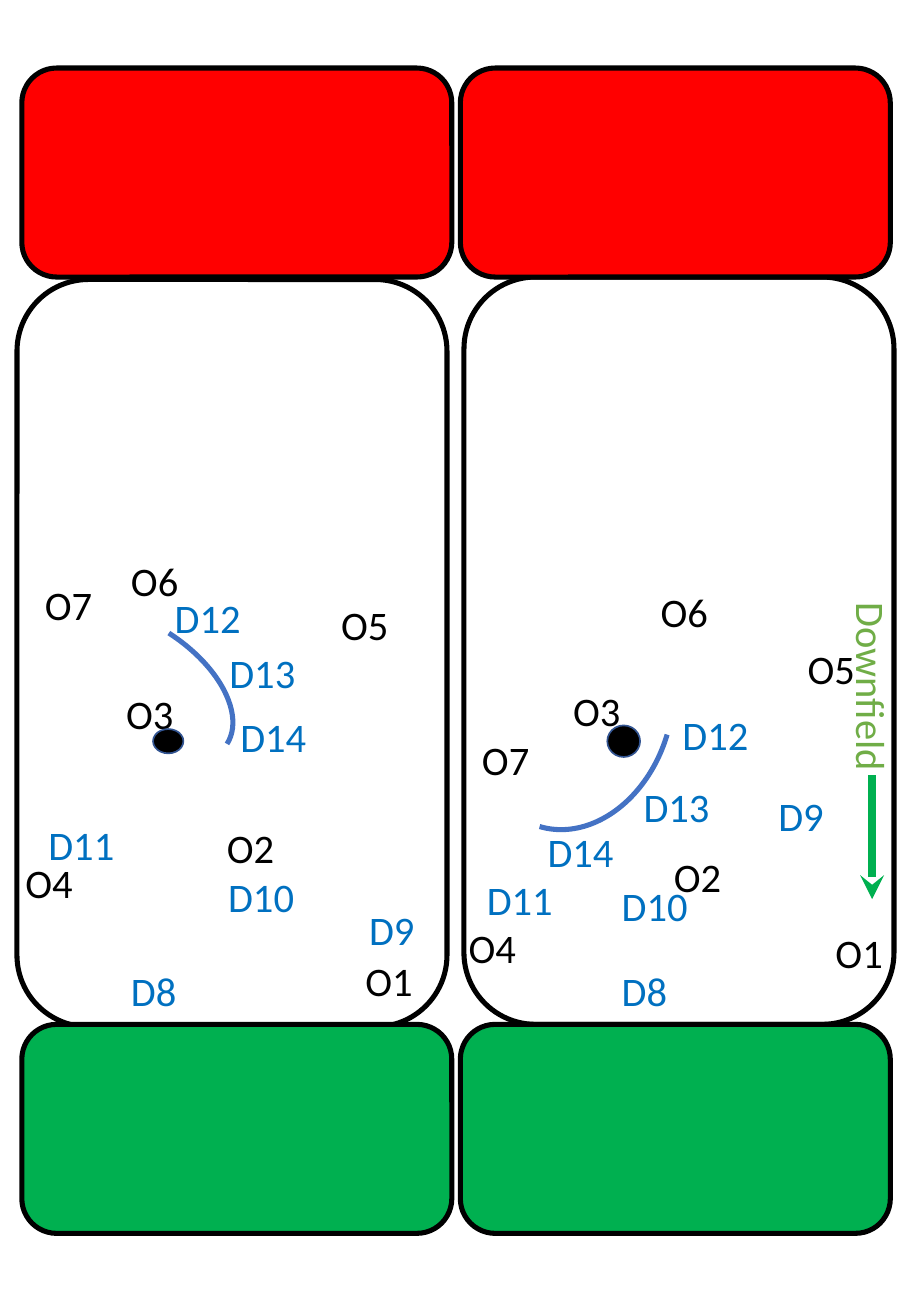
from dataclasses import dataclass

from lxml import etree
from pptx import Presentation
from pptx import util as u
from pptx.dml.color import RGBColor
from pptx.enum import shapes, text
from pptx.oxml import ns

COLUMNS, ROWS = 75, 108.3
FIELDS = [(38.2, 22.8), (1.4, 23)]
FIELD_SIZE = (35.4, 61.5)
ZONE_LEFTS = [1.8, 37.9]
ZONE_ROWS = [(5.6, "stop"), (84.3, "go")]
ZONE_SIZE = (35.4, 17.2)
LABEL_HEIGHT = 5

RIGHT_PLAYERS = [
    ("O2", 54.5, 69.6, 7.4), ("O1", 67.8, 75.9, 6.1),
    ("O3", 46.2, 56, 7.4), ("O4", 37.6, 75.5, 7.4),
    ("O5", 65.5, 52.5, 7.4), ("O6", 53.4, 47.8, 8.4),
    ("O7", 38.7, 60, 7.4), ("D8", 50.2, 79, 7.4),
    ("D9", 63.1, 64.6, 7.4), ("D10", 50.2, 72, 9.7),
    ("D11", 39.1, 71.5, 9.7), ("D12", 55.2, 57.9, 9.7),
    ("D13", 52, 63.9, 9.7), ("D14", 44.1, 67.6, 9.7),
]
LEFT_PLAYERS = [
    ("O2", 17.7, 67.2, 7.2), ("O1", 29.1, 78.2, 6.5),
    ("O3", 9.4, 56.2, 7.2), ("O4", 1.1, 70.1, 6.5),
    ("O5", 27.1, 48.9, 6.5), ("O6", 9.8, 45.3, 6.5),
    ("O7", 2.7, 47.2, 6.5), ("D8", 9.8, 79, 6.5),
    ("D9", 29.4, 74, 6.5), ("D10", 17.8, 71.3, 8.6),
    ("D11", 3, 67, 8.6), ("D12", 13.4, 48.3, 8.6),
    ("D13", 17.9, 52.8, 8.6), ("D14", 18.8, 58.1, 8.6),
]
BALLS = [(50, 59.7, 2.7, 2.6), (12.6, 60, 2.5, 2)]
ARCS = [((37.1, 50.3, 20.5, 15.8), 106.6), ((2.2, 51.3, 17.9, 10.2), 32.6)]
DIRECTION = ("Downfield", 63.2, 54.7, 17.2)
ARROW = (71.8, 74, 71.8, 63.8)


@dataclass(frozen=True)
class Theme:
    font: str = "Calibri"
    label_size: int = 24
    border: float = 3
    ball_border: float = 1
    arrow_width: float = 4.75
    ink: str = "000000"
    paper: str = "FFFFFF"
    defense: str = "0070C0"
    direction: str = "70AD47"
    arc: str = "4472C4"
    ball_line: str = "325491"
    go: str = "00B050"
    stop: str = "FF0000"


theme = Theme()
deck = Presentation()
deck.slide_width, deck.slide_height = u.Inches(7.5), u.Inches(10.83)
page = deck.slides.add_slide(deck.slide_layouts[6])


def place(left, top, width, height):
    across, down = deck.slide_width / COLUMNS, deck.slide_height / ROWS
    return [round(n) for n in
            (left * across, top * down, width * across, height * down)]


def set_line(item, color, width):
    item.line.color.rgb = RGBColor.from_string(color)
    item.line.width = u.Pt(width)


def add_shape(kind, area, fill, line, width):
    shape = page.shapes.add_shape(kind, *place(*area))
    shape.shadow.inherit = False
    if fill:
        shape.fill.solid()
        shape.fill.fore_color.rgb = RGBColor.from_string(fill)
    else:
        shape.fill.background()
    set_line(shape, line, width)
    return shape


def add_label(words, left, top, width, color):
    box = page.shapes.add_textbox(*place(left, top, width, LABEL_HEIGHT))
    frame = box.text_frame
    frame.word_wrap = True
    frame.auto_size = text.MSO_AUTO_SIZE.SHAPE_TO_FIT_TEXT
    para = frame.paragraphs[0]
    para.text = words
    para.font.name = theme.font
    para.font.size = u.Pt(theme.label_size)
    para.font.color.rgb = RGBColor.from_string(color)
    return box


def add_arrow():
    arrow = page.shapes.add_connector(
        shapes.MSO_CONNECTOR.STRAIGHT, *place(*ARROW))
    set_line(arrow, theme.go, theme.arrow_width)
    etree.SubElement(arrow.line._get_or_add_ln(), ns.qn("a:headEnd"), type="stealth")
    etree.SubElement(arrow._element.spPr, ns.qn("a:effectLst"))


def main():
    kinds = shapes.MSO_SHAPE
    for corner in FIELDS:
        add_shape(kinds.ROUNDED_RECTANGLE, corner + FIELD_SIZE,
                  theme.paper, theme.ink, theme.border)
    for top, role in ZONE_ROWS:
        for left in ZONE_LEFTS:
            add_shape(kinds.ROUNDED_RECTANGLE, (left, top) + ZONE_SIZE,
                      getattr(theme, role), theme.ink, theme.border)
    for name, left, top, width in RIGHT_PLAYERS + LEFT_PLAYERS:
        color = theme.defense if name.startswith("D") else theme.ink
        add_label(name, left, top, width, color)
    for area in BALLS:
        add_shape(kinds.OVAL, area, theme.ink, theme.ball_line, theme.ball_border)
    for area, angle in ARCS:
        add_shape(kinds.ARC, area, None, theme.arc, theme.border).rotation = angle
    add_label(*DIRECTION, theme.direction).rotation = 90
    add_arrow()
    deck.save("out.pptx")


if __name__ == "__main__":
    main()
